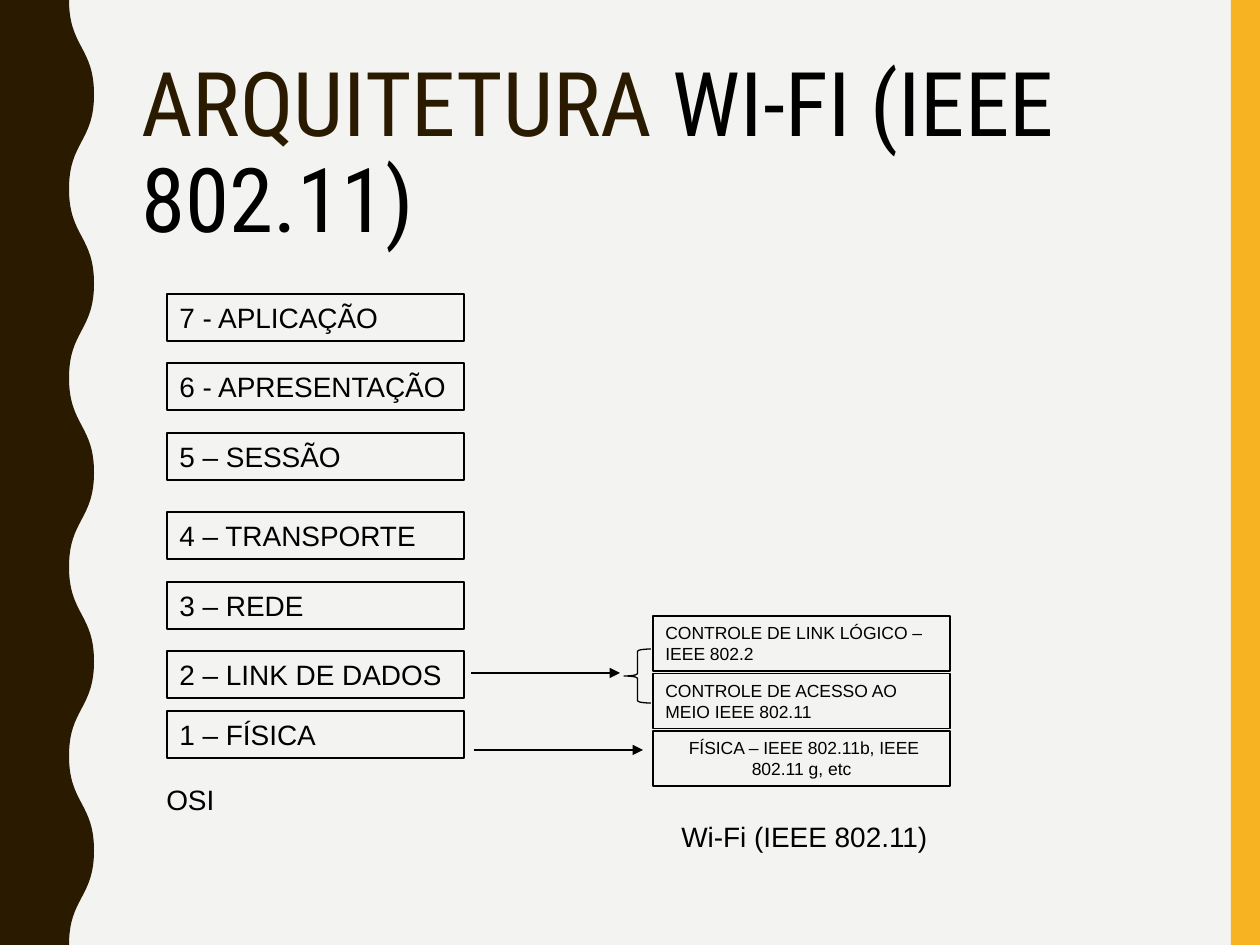
"""Build the slide comparing the OSI layers with the Wi-Fi architecture."""
import pptx
import pptx.dml.color
import pptx.enum.shapes
import pptx.enum.text
import pptx.oxml
import pptx.oxml.ns
import pptx.util

SCALE = 914400 / 126
WIDTH, HEIGHT = 1260, 945
BLACK, BROWN, YELLOW, PAPER = "000000", "2A1A00", "F8B323", "F3F3F2"
SHAPES = pptx.enum.shapes.MSO_SHAPE
ALIGN = pptx.enum.text.PP_ALIGN
ANCHOR = pptx.enum.text.MSO_ANCHOR

TITLE = [("ARQUITETURA ", BROWN), ("WI-FI (IEEE 802.11)", BLACK)]
OSI_LAYERS = [
    ("7 - APLICAÇÃO", 294),
    ("6 - APRESENTAÇÃO", 363),
    ("5 – SESSÃO", 433),
    ("4 – TRANSPORTE", 512),
    ("3 – REDE", 582),
    ("2 – LINK DE DADOS", 651),
    ("1 – FÍSICA", 711),
]
WIFI_LAYERS = [
    ("CONTROLE DE LINK LÓGICO – IEEE 802.2", ALIGN.LEFT),
    ("CONTROLE DE ACESSO AO MEIO IEEE 802.11", ALIGN.LEFT),
    (" FÍSICA – IEEE 802.11b, IEEE 802.11 g, etc", ALIGN.CENTER),
]
CAPTIONS = [("OSI", 154, 776, 73, 47), ("Wi-Fi (IEEE 802.11)", 669, 813, 273, 47)]
ARROWS = [(474, 643, 750, 1.5), (471, 620, 673, 0.75)]
OSI_LEFT, OSI_HEIGHT = 167, 47
WIFI_LEFT, WIFI_TOP, WIFI_HEIGHT, WIFI_STEP = 653, 616, 55, 57.5
LAYER_WIDTH = 297
WAVE_INNER, WAVE_OUTER, WAVE_HALVES = 69, 94, 10


def px(value):
    return pptx.util.Emu(round(value * SCALE))


def color(value):
    return pptx.dml.color.RGBColor.from_string(value)


def add_run(paragraph, text, font_name, size, font_color):
    run = paragraph.add_run()
    run.text = text
    run.font.name = font_name
    run.font.size = pptx.util.Pt(size)
    run.font.color.rgb = color(font_color)


def paint(shape, fill=None, line_width=None):
    shape.shadow.inherit = False
    if fill:
        shape.fill.solid()
        shape.fill.fore_color.rgb = color(fill)
    else:
        shape.fill.background()
    if line_width:
        shape.line.color.rgb = color(BLACK)
        shape.line.width = pptx.util.Pt(line_width)
    else:
        shape.line.fill.background()


def write(shape, text, size, alignment=ALIGN.LEFT, wrap=True):
    frame = shape.text_frame
    frame.word_wrap = wrap
    frame.vertical_anchor = ANCHOR.TOP
    paragraph = frame.paragraphs[0]
    paragraph.alignment = alignment
    add_run(paragraph, text, "Arial", size, BLACK)


def add_layer(shapes, text, box, size, alignment=ALIGN.LEFT):
    shape = shapes.add_shape(SHAPES.RECTANGLE, *map(px, box))
    paint(shape, line_width=0.75)
    write(shape, text, size, alignment)


def curve_segments(shape, curve_count):
    lines = list(shape._element.iter(pptx.oxml.ns.qn("a:lnTo")))
    namespace = pptx.oxml.ns.nsdecls("a")
    for index in range(curve_count):
        first, second, third = lines[3 * index:3 * index + 3]
        curve = pptx.oxml.parse_xml(f"<a:cubicBezTo {namespace}/>")
        first.addprevious(curve)
        for line in (first, second, third):
            curve.append(line[0])
            line.getparent().remove(line)


def add_wave(slide):
    half_height = HEIGHT / WAVE_HALVES
    points = []
    for half in range(WAVE_HALVES):
        start, end = (WAVE_INNER, WAVE_OUTER) if half % 2 == 0 else (WAVE_OUTER, WAVE_INNER)
        middle = half_height * (half + 0.5)
        points += [(start, middle), (end, middle), (end, half_height * (half + 1))]
    points += [(0, HEIGHT), (0, 0)]
    builder = slide.shapes.build_freeform(px(WAVE_INNER), px(0))
    builder.add_line_segments([(px(x), px(y)) for x, y in points])
    wave = builder.convert_to_shape()
    curve_segments(wave, WAVE_HALVES)
    paint(wave, BROWN)


def add_arrow(slide, start, end, y, width):
    arrow = slide.shapes.add_connector(
        pptx.enum.shapes.MSO_CONNECTOR.STRAIGHT, px(start), px(y), px(end), px(y))
    arrow.line.color.rgb = color(BLACK)
    arrow.line.width = pptx.util.Pt(width)
    namespace = pptx.oxml.ns.nsdecls("a")
    arrow.line._get_or_add_ln().append(
        pptx.oxml.parse_xml(f'<a:tailEnd {namespace} type="triangle"/>'))
    arrow._element.spPr.append(pptx.oxml.parse_xml(f"<a:effectLst {namespace}/>"))


def add_title(slide):
    title = slide.shapes.title
    title.left, title.top, title.width, title.height = map(px, (129, 53, 1052, 205))
    frame = title.text_frame
    frame.word_wrap = True
    frame.auto_size = pptx.enum.text.MSO_AUTO_SIZE.NONE
    frame.vertical_anchor = ANCHOR.MIDDLE
    paragraph = frame.paragraphs[0]
    paragraph.alignment = ALIGN.LEFT
    paragraph.line_spacing = 0.9
    for text, font_color in TITLE:
        add_run(paragraph, text, "Roboto Condensed", 51, font_color)


def main():
    presentation = pptx.Presentation()
    presentation.slide_width, presentation.slide_height = px(WIDTH), px(HEIGHT)
    slide = presentation.slides.add_slide(presentation.slide_layouts[5])
    slide.background.fill.solid()
    slide.background.fill.fore_color.rgb = color(PAPER)

    stripe = slide.shapes.add_shape(SHAPES.RECTANGLE, px(1231), px(0), px(29), px(HEIGHT))
    paint(stripe, YELLOW)
    add_wave(slide)
    add_title(slide)

    osi_stack = slide.shapes.add_group_shape()
    for text, top in OSI_LAYERS:
        add_layer(osi_stack.shapes, text, (OSI_LEFT, top, LAYER_WIDTH, OSI_HEIGHT), 16)
    for index, (text, alignment) in enumerate(WIFI_LAYERS):
        top = WIFI_TOP + index * WIFI_STEP
        add_layer(slide.shapes, text, (WIFI_LEFT, top, LAYER_WIDTH, WIFI_HEIGHT), 10, alignment)
    for text, *box in CAPTIONS:
        write(slide.shapes.add_textbox(*map(px, box)), text, 16, wrap=False)

    for arrow in ARROWS:
        add_arrow(slide, *arrow)
    brace = slide.shapes.add_shape(SHAPES.LEFT_BRACE, px(624), px(649), px(27), px(54))
    paint(brace, line_width=0.75)
    presentation.save("out.pptx")


if __name__ == "__main__":
    main()
